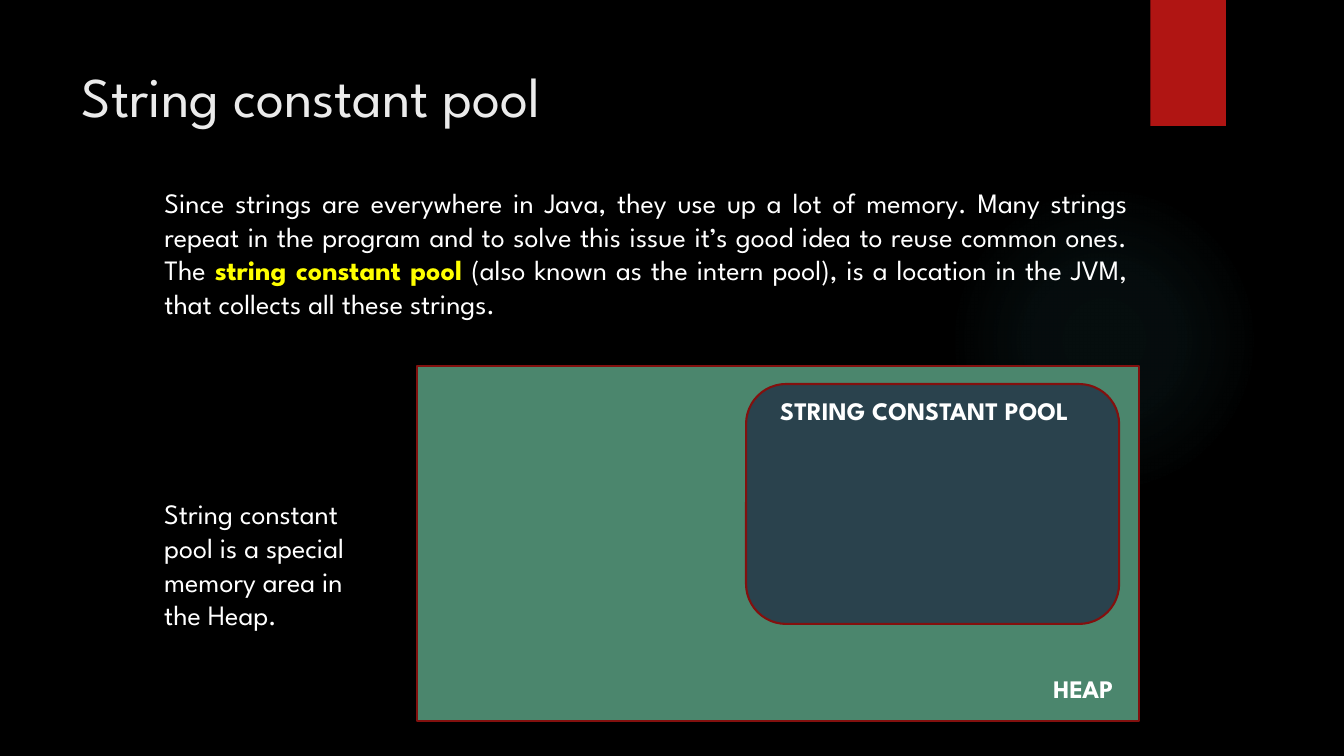
from dataclasses import dataclass

from pptx import Presentation
from pptx.dml.color import RGBColor
from pptx.enum.shapes import MSO_SHAPE
from pptx.enum.text import MSO_ANCHOR, MSO_AUTO_SIZE, PP_ALIGN
from pptx.oxml import parse_xml
from pptx.oxml.ns import nsdecls
from pptx.util import Inches, Pt

RECTANGLE, ROUNDED, OVAL = MSO_SHAPE.RECTANGLE, MSO_SHAPE.ROUNDED_RECTANGLE, MSO_SHAPE.OVAL
LEFT, JUSTIFY = PP_ALIGN.LEFT, PP_ALIGN.JUSTIFY
TOP, MIDDLE = MSO_ANCHOR.TOP, MSO_ANCHOR.MIDDLE
NO_FIT = MSO_AUTO_SIZE.NONE


@dataclass(frozen=True)
class Theme:
    """Colours, font and type sizes of the slide."""
    font: str = "League Spartan"
    background: str = "000000"
    heading: str = "EBEBEB"
    text: str = "FFFFFF"
    accent: str = "FFFF00"
    tab: str = "B01513"
    heap: str = "4B866D"
    pool: str = "2A424D"
    outline: str = "82100E"
    glow: str = "50B9C1"
    title_size: int = 40
    body_size: int = 20
    label_size: int = 18


THEME = Theme()


def color(value):
    """Turn a hex string into a colour."""
    return RGBColor.from_string(value)


def place(shape, left, top, width, height):
    """Move and size a shape, in inches."""
    shape.left, shape.top = Inches(left), Inches(top)
    shape.width, shape.height = Inches(width), Inches(height)


def write(box, *paragraphs, size=THEME.body_size, fill=THEME.text, bold=False,
          align=LEFT, anchor=TOP):
    """Fill a box with paragraphs; a span given as a tuple is highlighted."""
    frame = box.text_frame
    frame.word_wrap = True
    frame.auto_size = NO_FIT
    frame.vertical_anchor = anchor
    for index, spans in enumerate(paragraphs):
        para = frame.add_paragraph() if index else frame.paragraphs[0]
        properties = para._p.get_or_add_pPr()
        properties.set("marL", "0")
        properties.set("indent", "0")
        properties.append(parse_xml(f"<a:buNone {nsdecls('a')}/>"))
        para.alignment = align
        para.space_before = Pt(0)
        for content in [spans] if isinstance(spans, str) else spans:
            marked = isinstance(content, tuple)
            span = para.add_run()
            span.text = content[0] if marked else content
            span.font.name = THEME.font
            span.font.size = Pt(size)
            span.font.bold = bold or marked
            span.font.color.rgb = color(THEME.accent if marked else fill)


def add_text(page, area, *paragraphs, **style):
    """Add a text box."""
    box = page.shapes.add_textbox(*map(Inches, area))
    write(box, *paragraphs, **style)


def add_block(page, kind, area, fill, outline=None):
    """Add a filled shape with an optional outline."""
    block = page.shapes.add_shape(kind, *map(Inches, area))
    block.shadow.inherit = False
    block.fill.solid()
    block.fill.fore_color.rgb = color(fill)
    if outline:
        block.line.color.rgb = color(outline)
        block.line.width = Pt(1.5)
    else:
        block.line.fill.background()


def add_glow(page, area, stops):
    """Add a faint radial glow behind everything else."""
    glow = page.shapes.add_shape(OVAL, *map(Inches, area))
    glow.shadow.inherit = False
    glow.line.fill.background()
    marks = "".join(
        f'<a:gs pos="{position * 1000}"><a:srgbClr val="{THEME.glow}">'
        f'<a:alpha val="{alpha * 1000}"/></a:srgbClr></a:gs>'
        for position, alpha in stops)
    glow._element.spPr.insert(2, parse_xml(
        f'<a:gradFill {nsdecls("a")}><a:gsLst>{marks}</a:gsLst><a:path path="circle">'
        '<a:fillToRect l="50000" t="50000" r="50000" b="50000"/></a:path></a:gradFill>'))
    page.shapes._spTree.insert(2, glow._element)


def main():
    """Build the slide and save it."""
    deck = Presentation()
    deck.slide_width, deck.slide_height = Inches(13.33), Inches(7.5)
    page = deck.slides.add_slide(deck.slide_layouts[1])
    page.background.fill.solid()
    page.background.fill.fore_color.rgb = color(THEME.background)

    add_glow(page, (9.41, 1.83, 3.08, 3.08), [(0, 7), (36, 6), (69, 0)])
    add_block(page, RECTANGLE, (11.41, 0, 0.75, 1.25), THEME.tab)

    title, body = page.placeholders
    place(title, 0.71, 0.5, 10.29, 0.88)
    write(title, "String constant pool", size=THEME.title_size, fill=THEME.heading,
          anchor=MIDDLE)
    place(body, 1.53, 1.79, 9.76, 1.47)
    write(body, [
        "Since strings are everywhere in Java, they use up a lot of memory. Many strings "
        "repeat in the program and to solve this issue it’s good idea to reuse common "
        "ones. The ",
        ("string constant pool",),
        " (also known as the intern pool), is a location in the JVM, that collects all "
        "these strings. "], align=JUSTIFY)

    add_block(page, RECTANGLE, (4.14, 3.63, 7.16, 3.52), THEME.heap, THEME.outline)
    add_block(page, ROUNDED, (7.4, 3.81, 3.7, 2.38), THEME.pool, THEME.outline)
    label = {"size": THEME.label_size, "bold": True}
    add_text(page, (10.35, 6.63, 0.94, 0.4), "HEAP", **label)
    add_text(page, (7.64, 3.87, 3.31, 0.4), "STRING CONSTANT POOL", **label)
    add_text(page, (1.53, 4.88, 2.4, 1.45),
             "String constant pool is a special memory area in", "the Heap.")
    deck.save("out.pptx")


if __name__ == "__main__":
    main()
